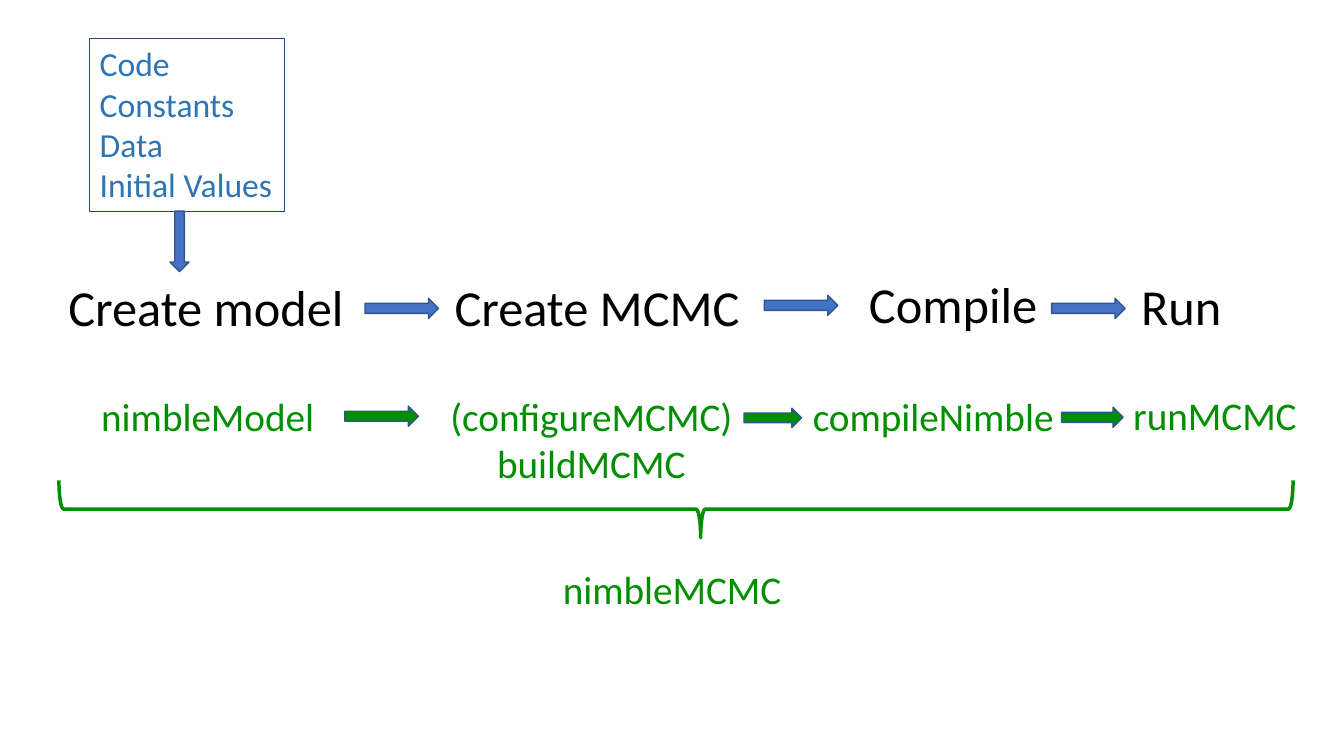
from pptx import Presentation
from pptx.dml.color import RGBColor
from pptx.enum.shapes import MSO_SHAPE
from pptx.enum.text import MSO_AUTO_SIZE, PP_ALIGN
from pptx.util import Inches, Pt

COLORS = {
    "step": "000000",
    "function": "008F00",
    "input": "2E75B6",
    "input_border": "1F4E79",
    "arrow": "4472C4",
    "arrow_border": "325491",
}
FONT = "Calibri"
STEP_SIZE, FUNCTION_SIZE, INPUT_SIZE = 36, 28, 24

STEPS = [
    ("Create model", (0.58, 2.69, 2.96, 0.71)),
    ("Create MCMC", (4.41, 2.69, 3.06, 0.71)),
    ("Compile", (8.52, 2.66, 1.89, 0.71)),
    ("Run", (11.22, 2.68, 1, 0.71)),
]
FUNCTIONS = [
    (["nimbleModel"], (0.89, 3.84, 2.34, 0.57)),
    (["(configureMCMC)", "buildMCMC"], (4.35, 3.84, 3.03, 1.04)),
    (["compileNimble"], (7.95, 3.84, 2.61, 0.57)),
    (["runMCMC"], (11.13, 3.83, 1.84, 0.57)),
    (["nimbleMCMC"], (5.47, 5.56, 2.39, 0.57)),
]
STEP_ARROWS = [(3.62, 2.96, 0.73, 0.2), (7.58, 2.93, 0.73, 0.2), (10.43, 2.96, 0.73, 0.2)]
FUNCTION_ARROWS = [(3.42, 4.03, 0.73, 0.2), (7.38, 4.05, 0.57, 0.19), (10.53, 4.04, 0.61, 0.2)]
INPUT_ARROW = (1.48, 2.3, 0.6, 0.19)


def color(name):
    """Return the named colour."""
    return RGBColor.from_string(COLORS[name])


def set_line(shape, color_name, width):
    """Give a shape an outline."""
    shape.line.color.rgb = color(color_name)
    shape.line.width = Pt(width)


def add_text(slide, lines, box, size, color_name, alignment=PP_ALIGN.LEFT):
    """Add a text box with one paragraph for each line."""
    shape = slide.shapes.add_textbox(*map(Inches, box))
    frame = shape.text_frame
    frame.word_wrap = False
    frame.auto_size = MSO_AUTO_SIZE.SHAPE_TO_FIT_TEXT
    frame.text = "\n".join(lines)
    font_format = {"name": FONT, "size": Pt(size)}
    for paragraph in frame.paragraphs:
        paragraph.alignment = alignment
        font = paragraph.runs[0].font
        for attribute, value in font_format.items():
            setattr(font, attribute, value)
        font.color.rgb = color(color_name)
    return shape


def add_arrow(slide, box, fill_name, rotation=0):
    """Add a block arrow that points right before rotation."""
    arrow = slide.shapes.add_shape(MSO_SHAPE.RIGHT_ARROW, *map(Inches, box))
    arrow.shadow.inherit = False
    arrow.rotation = rotation
    arrow.fill.solid()
    arrow.fill.fore_color.rgb = color(fill_name)
    set_line(arrow, "arrow_border", 1)


def add_brace(slide, box):
    """Add a brace that points down and spans the function row."""
    brace = slide.shapes.add_shape(MSO_SHAPE.LEFT_BRACE, *map(Inches, box))
    brace.shadow.inherit = False
    brace.rotation = 270
    brace.adjustments[0] = 0.08
    brace.adjustments[1] = 0.52
    brace.fill.background()
    set_line(brace, "function", 2.5)


def main():
    """Build the workflow slide and save it."""
    presentation = Presentation()
    presentation.slide_width = Inches(13.33)
    presentation.slide_height = Inches(7.5)
    blank_layout = presentation.slide_layouts[6]
    slide = presentation.slides.add_slide(blank_layout)

    for step, box in STEPS:
        add_text(slide, [step], box, STEP_SIZE, "step")
    for names, box in FUNCTIONS:
        add_text(slide, names, box, FUNCTION_SIZE, "function", PP_ALIGN.CENTER)

    inputs = ["Code", "Constants", "Data", "Initial Values"]
    input_box = add_text(slide, inputs, (0.89, 0.38, 1.93, 1.72), INPUT_SIZE, "input")
    set_line(input_box, "input_border", 0.75)

    add_arrow(slide, INPUT_ARROW, "arrow", rotation=90)
    for box in STEP_ARROWS:
        add_arrow(slide, box, "arrow")
    for box in FUNCTION_ARROWS:
        add_arrow(slide, box, "function")
    add_brace(slide, (6.42, -1.07, 0.57, 12.24))

    presentation.save("out.pptx")


main()
